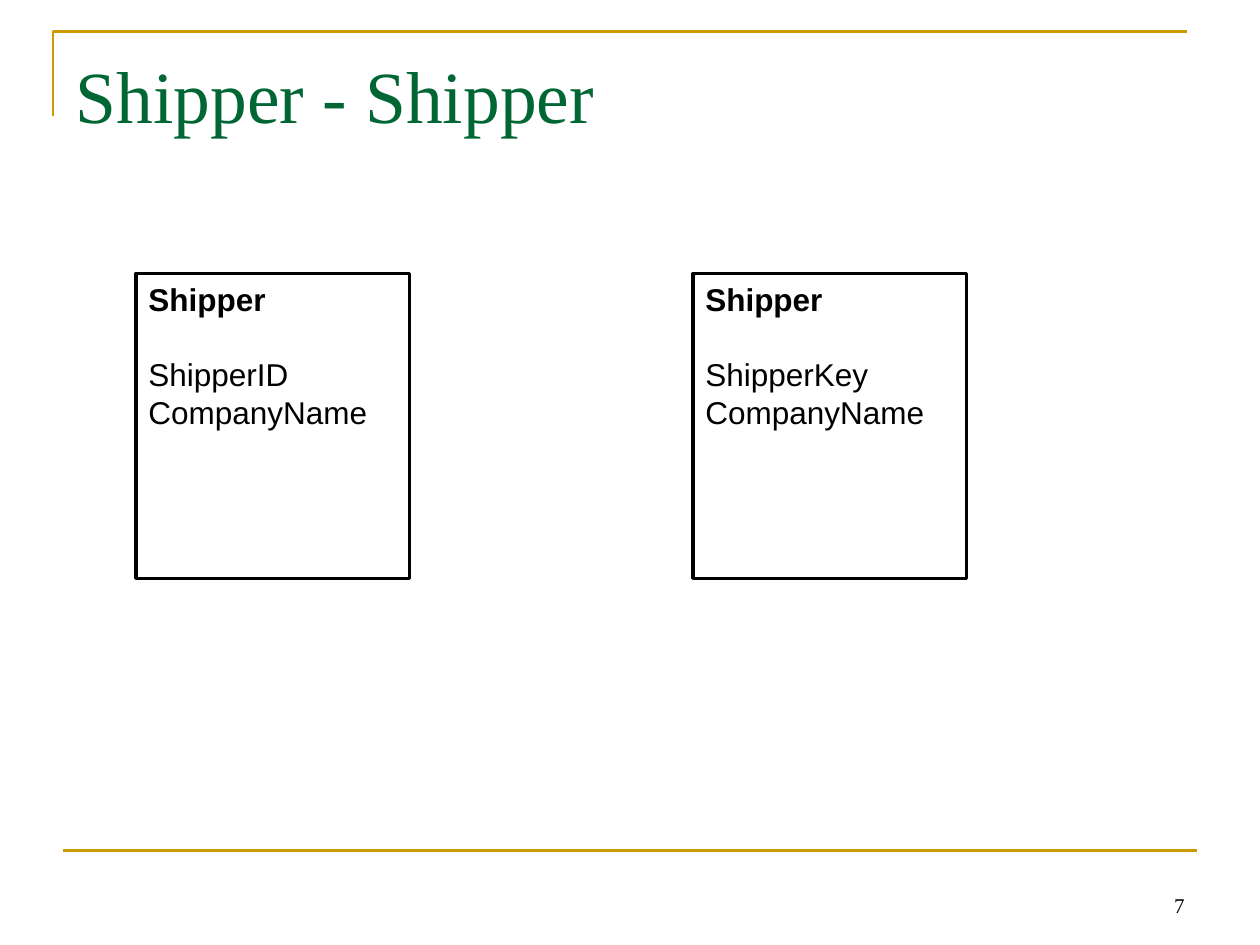
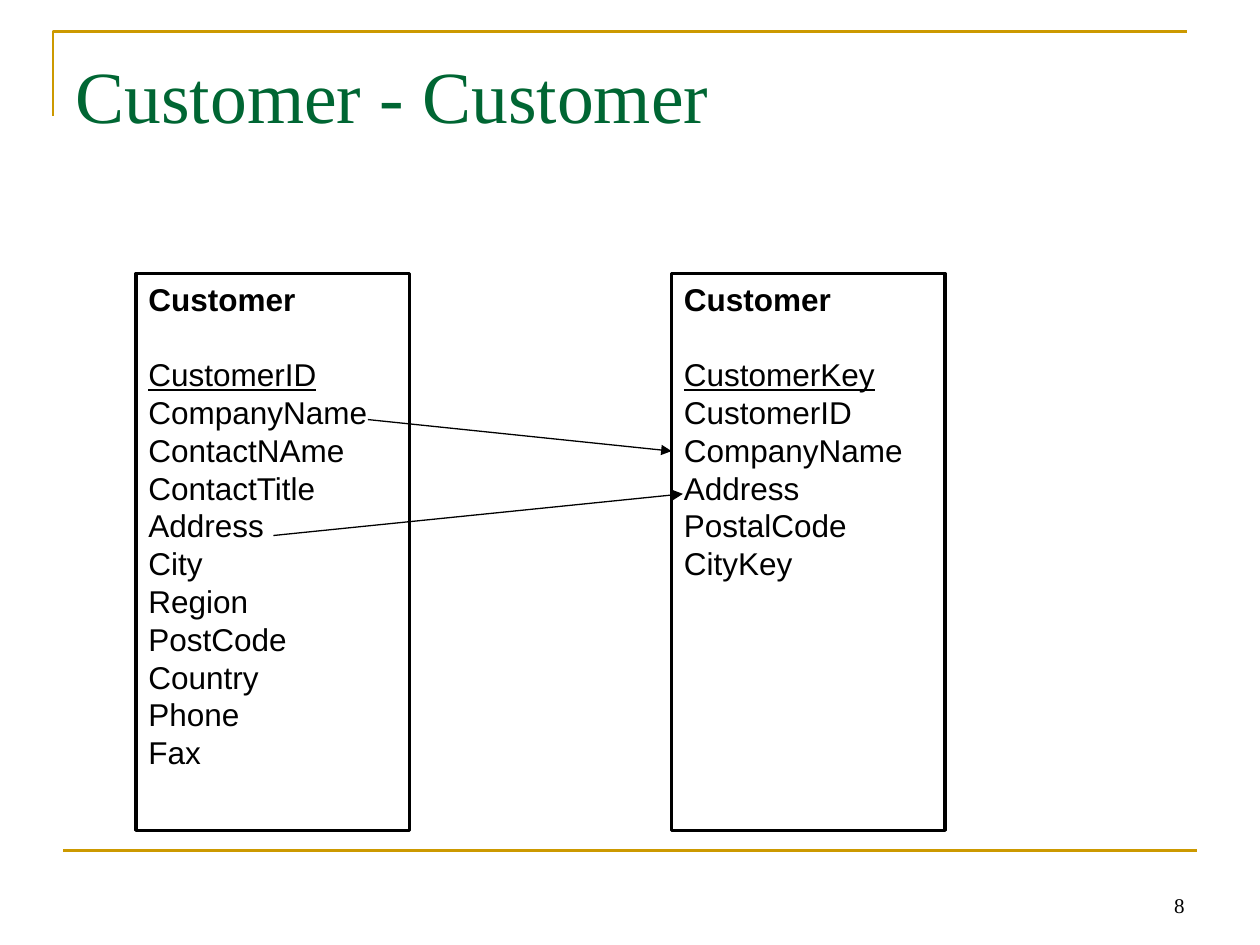
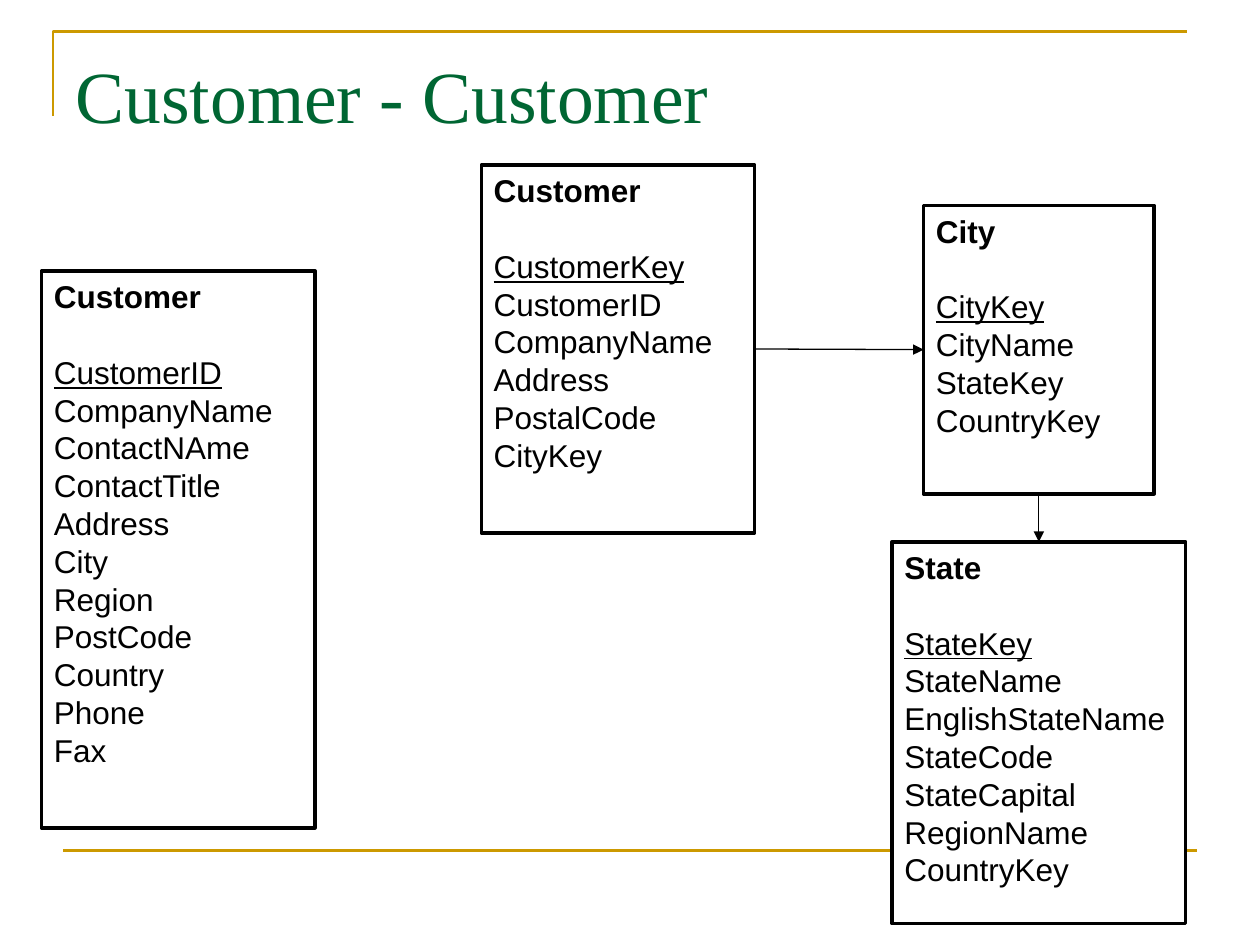
from pptx import Presentation
from pptx.dml.color import RGBColor
from pptx.enum.shapes import MSO_CONNECTOR, MSO_SHAPE
from pptx.enum.text import MSO_ANCHOR, MSO_AUTO_SIZE, PP_ALIGN
from pptx.oxml.ns import qn
from pptx.util import Inches, Pt
from lxml.etree import SubElement

GOLD = RGBColor(0xCC, 0x99, 0x00)
GREEN = RGBColor(0x00, 0x66, 0x33)
BLACK = RGBColor(0x00, 0x00, 0x00)
WHITE = RGBColor(0xFF, 0xFF, 0xFF)

TITLE_FONT = {"name": "Times New Roman", "size": Pt(42), "color": GREEN}
NUMBER_FONT = {"name": "Times New Roman", "size": Pt(12), "color": BLACK}
FIELD_FONT = {"name": "Arial", "size": Pt(18), "color": BLACK}
KEY_FONT = FIELD_FONT | {"underline": True}
HEADING_FONT = FIELD_FONT | {"bold": True}
FIELD_PITCH = Pt(21.6)

TOP, LEFT, BOTTOM, RIGHT = range(4)
ENTITY_WIDTH = 2.17

SOURCE_CUSTOMER = ["CustomerID", "CompanyName", "ContactNAme", "ContactTitle", "Address", "City",
                   "Region", "PostCode", "Country", "Phone", "Fax"]
TARGET_CUSTOMER = ["CustomerKey", "CustomerID", "CompanyName", "Address", "PostalCode", "CityKey"]
CITY = ["CityKey", "CityName", "StateKey", "CountryKey"]
STATE = ["StateKey", "StateName", "EnglishStateName", "StateCode", "StateCapital", "RegionName",
         "CountryKey"]


def box(left, top, width, height):
    return [Inches(value) for value in (left, top, width, height)]


def format_font(font, values):
    for name, value in values.items():
        if name == "color":
            font.color.rgb = value
        else:
            setattr(font, name, value)


class SchemaDeck:
    """Holds the presentation, its shared style and the slide being built."""

    def __init__(self):
        self.presentation = Presentation()
        self.presentation.slide_width = Inches(10)
        self.presentation.slide_height = Inches(7.5)
        self.slide = None

    def add_slide(self, title, number=None):
        layout = self.presentation.slide_layouts.get_by_name("Title Only")
        self.slide = self.presentation.slides.add_slide(layout)
        self.frame()
        self.title(title)
        if number:
            self.number(number)

    def frame(self):
        """Draw the gold corner at the top and the gold rule at the bottom."""
        builder = self.slide.shapes.build_freeform(Inches(0.42), Inches(0.92))
        corner = [(Inches(0.42), Inches(0.25)), (Inches(9.42), Inches(0.25))]
        builder.add_line_segments(corner, close=False)
        shape = builder.convert_to_shape()
        shape.shadow.inherit = False
        shape.fill.background()
        shape.line.color.rgb = GOLD
        shape.line.width = Pt(1.5)
        self.line((0.5, 6.75), (9.5, 6.75), GOLD, 1.5)

    def title(self, text):
        shape = self.slide.shapes.title
        shape.left, shape.top, shape.width, shape.height = box(0.5, 0.3, 9, 1.25)
        text_frame = shape.text_frame
        text_frame.auto_size = MSO_AUTO_SIZE.NONE
        text_frame.vertical_anchor = MSO_ANCHOR.TOP
        text_frame.margin_top = Inches(0.1)
        self.text(text_frame.paragraphs[0], text, TITLE_FONT)

    def number(self, number):
        text_frame = self.slide.shapes.add_textbox(*box(7.17, 6.83, 2.33, 0.5)).text_frame
        text_frame.word_wrap = True
        text_frame.vertical_anchor = MSO_ANCHOR.BOTTOM
        self.text(text_frame.paragraphs[0], str(number), NUMBER_FONT, PP_ALIGN.RIGHT)

    def text(self, paragraph, text, font, alignment=PP_ALIGN.LEFT):
        paragraph.alignment = alignment
        run = paragraph.add_run()
        run.text = text
        format_font(run.font, font)

    def entity(self, name, fields, left, top, height, width=ENTITY_WIDTH, key_font=KEY_FONT):
        """Draw a table of the schema: its name, its key, then its other fields."""
        shape = self.slide.shapes.add_shape(MSO_SHAPE.RECTANGLE, *box(left, top, width, height))
        shape.shadow.inherit = False
        shape.fill.solid()
        shape.fill.fore_color.rgb = WHITE
        shape.line.color.rgb = BLACK
        shape.line.width = Pt(2)
        text_frame = shape.text_frame
        text_frame.word_wrap = True
        text_frame.vertical_anchor = MSO_ANCHOR.TOP
        fonts = [HEADING_FONT, key_font] + [FIELD_FONT] * (len(fields) - 1)
        for index, (text, font) in enumerate(zip([name, *fields], fonts)):
            paragraph = text_frame.add_paragraph() if index else text_frame.paragraphs[0]
            paragraph.line_spacing = FIELD_PITCH
            self.text(paragraph, text, font)
        text_frame.paragraphs[0].space_after = FIELD_PITCH
        return shape

    def line(self, start, end, color=BLACK, width=0.75):
        points = [Inches(value) for value in (*start, *end)]
        connector = self.slide.shapes.add_connector(MSO_CONNECTOR.STRAIGHT, *points)
        connector.line.color.rgb = color
        connector.line.width = Pt(width)
        SubElement(connector._element.spPr, qn("a:effectLst"))
        return connector

    def arrow(self, start, end):
        connector = self.line(start, end)
        outline = connector._element.spPr.find(qn("a:ln"))
        SubElement(outline, qn("a:tailEnd"), type="triangle")
        return connector

    def link(self, source, source_side, target, target_side):
        """Draw an arrow that joins the middles of two entity sides."""
        connector = self.arrow((0, 0), (1, 1))
        connector.begin_connect(source, source_side)
        connector.end_connect(target, target_side)


def main():
    deck = SchemaDeck()

    deck.add_slide("Shipper - Shipper", 7)
    for key, left in (("ShipperID", 1.08), ("ShipperKey", 5.5)):
        deck.entity("Shipper", [key, "CompanyName"], left, 2.17, 2.42, key_font=FIELD_FONT)

    deck.add_slide("Customer - Customer", 8)
    for fields, left in ((SOURCE_CUSTOMER, 1.08), (TARGET_CUSTOMER, 5.33)):
        deck.entity("Customer", fields, left, 2.17, 4.42)
    deck.arrow((2.92, 3.33), (5.33, 3.58))
    deck.arrow((2.17, 4.25), (5.42, 3.92))

    deck.add_slide("Customer - Customer")
    deck.entity("Customer", SOURCE_CUSTOMER, 0.33, 2.15, 4.42)
    customer = deck.entity("Customer", TARGET_CUSTOMER, 3.82, 1.31, 2.92)
    city = deck.entity("City", CITY, 7.33, 1.63, 2.29, 1.83)
    state = deck.entity("State", STATE, 7.08, 4.3, 3.03, 2.33)
    deck.link(customer, RIGHT, city, LEFT)
    deck.link(city, BOTTOM, state, TOP)

    deck.presentation.save("out.pptx")


if __name__ == "__main__":
    main()
